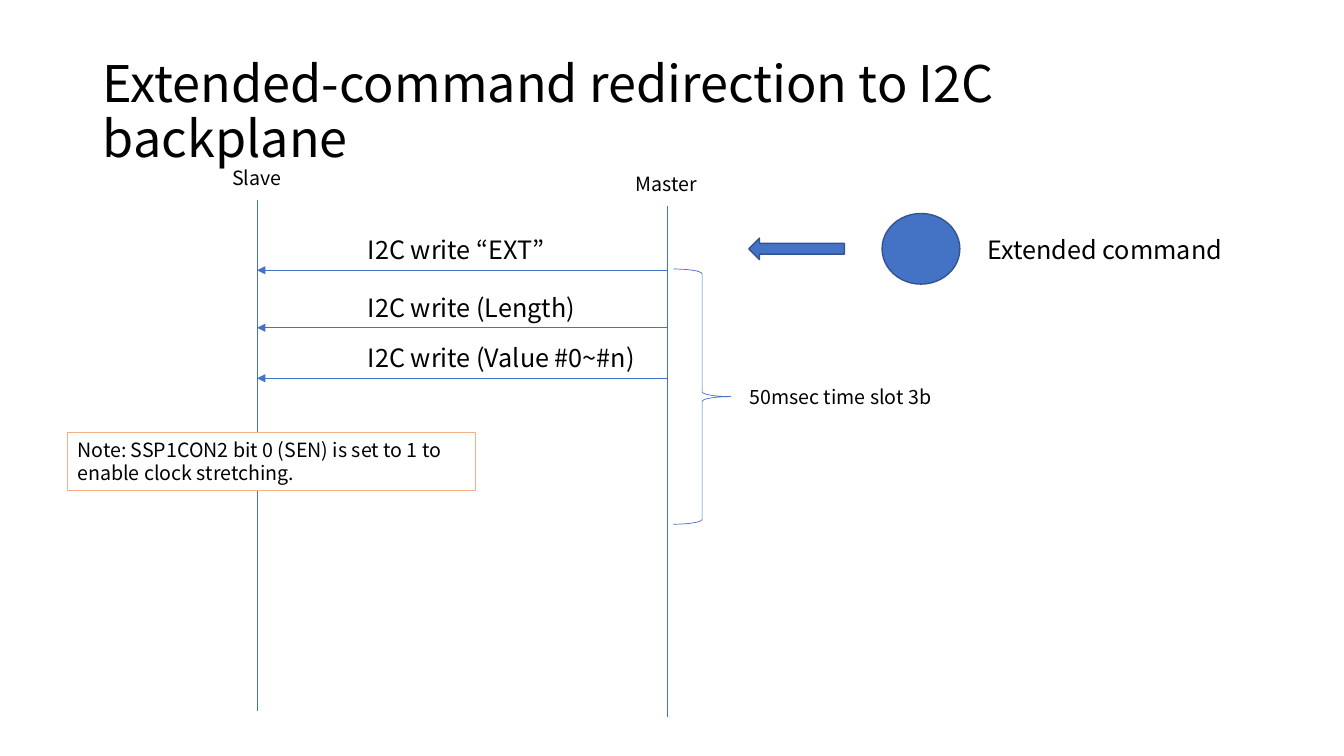
from lxml import etree
from pptx import Presentation
from pptx.dml.color import RGBColor
from pptx.enum.shapes import MSO_CONNECTOR, MSO_SHAPE
from pptx.enum.text import MSO_ANCHOR, MSO_AUTO_SIZE, PP_ALIGN
from pptx.oxml.ns import qn
from pptx.util import Cm, Pt

STRAIGHT = MSO_CONNECTOR.STRAIGHT
RECTANGLE, ELLIPSE = MSO_SHAPE.RECTANGLE, MSO_SHAPE.OVAL
LEFT_ARROW, RIGHT_BRACE = MSO_SHAPE.LEFT_ARROW, MSO_SHAPE.RIGHT_BRACE
MIDDLE, TOP = MSO_ANCHOR.MIDDLE, MSO_ANCHOR.TOP
FIXED, GROW = MSO_AUTO_SIZE.NONE, MSO_AUTO_SIZE.SHAPE_TO_FIT_TEXT
LEFT = PP_ALIGN.LEFT

FONT = "Noto Sans CJK JP"
BLACK, WHITE = "000000", "FFFFFF"
BLUE, DARK_BLUE, ORANGE = "4472C4", "325491", "F4B183"
TITLE_ONLY = 5


def color(hex_value):
    """Return the colour of a hex string."""
    return RGBColor.from_string(hex_value)


def write(holder, text, size=14, anchor=TOP, wrap=True, fit=GROW, spacing=None):
    """Fill a shape with one formatted paragraph."""
    frame = holder.text_frame
    frame.text = text
    frame.word_wrap = wrap
    frame.auto_size = fit
    frame.vertical_anchor = anchor
    paragraph = frame.paragraphs[0]
    paragraph.alignment = LEFT
    paragraph.line_spacing = spacing
    font = paragraph.runs[0].font
    font.name, font.size = FONT, Pt(size)
    font.color.rgb = color(BLACK)


def add_label(slide, text, left, top, width, height, **style):
    """Add a text box."""
    label = slide.shapes.add_textbox(Cm(left), Cm(top), Cm(width), Cm(height))
    write(label, text, **style)


def add_figure(slide, kind, left, top, width, height, fill, outline, weight):
    """Add a preset shape without a shadow."""
    figure = slide.shapes.add_shape(kind, Cm(left), Cm(top), Cm(width), Cm(height))
    figure.shadow.inherit = False
    if fill:
        figure.fill.solid()
        figure.fill.fore_color.rgb = color(fill)
    else:
        figure.fill.background()
    figure.line.color.rgb = color(outline)
    figure.line.width = Pt(weight)
    return figure


def add_line(slide, x1, y1, x2, y2, arrow=False):
    """Add a thin blue line, with an arrowhead at its end if wanted."""
    line = slide.shapes.add_connector(STRAIGHT, Cm(x1), Cm(y1), Cm(x2), Cm(y2))
    line.line.color.rgb = color(BLUE)
    line.line.width = Pt(0.5)
    if arrow:
        outline = line.line._get_or_add_ln()
        etree.SubElement(outline, qn("a:tailEnd"), type="triangle")
    etree.SubElement(line._element.spPr, qn("a:effectLst"))


def add_title(slide, left, top, width, height):
    """Place the title in its box."""
    title = slide.shapes.title
    title.left, title.top = Cm(left), Cm(top)
    title.width, title.height = Cm(width), Cm(height)
    write(title, "Extended-command redirection to I2C backplane",
          size=36, anchor=MIDDLE, fit=FIXED, spacing=0.9)


def add_lifeline(slide, name, x, top, height, label_width):
    """Draw one bus participant as a named vertical line."""
    add_line(slide, x, top, x, top + height)
    add_label(slide, name, x - label_width / 2, top - 0.98, label_width, 0.86,
              wrap=False)


def add_messages(slide, left, top, width):
    """Draw the bus writes that run from master to slave."""
    messages = (("I2C write “EXT”", 0, 5.11),
                ("I2C write (Length)", 1.45, 5.89),
                ("I2C write (Value #0~#n)", 2.72, 7.62))
    for text, drop, text_width in messages:
        y = top + drop
        add_line(slide, left + width, y, left, y, arrow=True)
        add_label(slide, text, left + 2.54, y - 1.02, text_width, 1.02,
                  size=18, wrap=False)


def add_time_slot(slide, left, top, width, height):
    """Draw the brace and the name of its time slot."""
    add_figure(slide, RIGHT_BRACE, left, top, width, height, None, BLUE, 0.5)
    add_label(slide, "50msec time slot 3b", left + width + 0.22,
              top + height / 2 - 0.42, 5.13, 0.86, wrap=False)


def add_extended_command(slide, left, top, height):
    """Draw the command source and the arrow towards the master."""
    middle = top + height / 2
    add_figure(slide, ELLIPSE, left + 3.36, top, 1.96, height, BLUE, DARK_BLUE, 1)
    add_figure(slide, LEFT_ARROW, left, middle - 0.27, 2.41, 0.54,
               BLUE, DARK_BLUE, 1)
    add_label(slide, "Extended command", left + 5.77, middle - 0.49, 7.01, 1.02,
              size=18)


def add_note(slide, left, top, width, height):
    """Draw the framed note on clock stretching."""
    note = add_figure(slide, RECTANGLE, left, top, width, height,
                      WHITE, ORANGE, 0.75)
    write(note, "Note: SSP1CON2 bit 0 (SEN) is set to 1 to enable clock stretching.")


def main():
    """Build the slide and save it."""
    deck = Presentation()
    deck.slide_width, deck.slide_height = Cm(33.87), Cm(19.05)
    slide = deck.slides.add_slide(deck.slide_layouts[TITLE_ONLY])
    slave_x, master_x = 6.48, 16.83
    add_title(slide, 2.34, 1.02, 29.21, 3.68)
    add_lifeline(slide, "Master", master_x, 5.18, 12.9, 2.13)
    add_lifeline(slide, "Slave", slave_x, 5.03, 12.88, 1.75)
    add_messages(slide, slave_x, 6.81, master_x - slave_x)
    add_time_slot(slide, 16.97, 6.78, 1.45, 6.43)
    add_extended_command(slide, 18.87, 5.38, 1.78)
    add_note(slide, 1.7, 10.9, 10.29, 1.45)
    deck.save("out.pptx")


if __name__ == "__main__":
    main()
